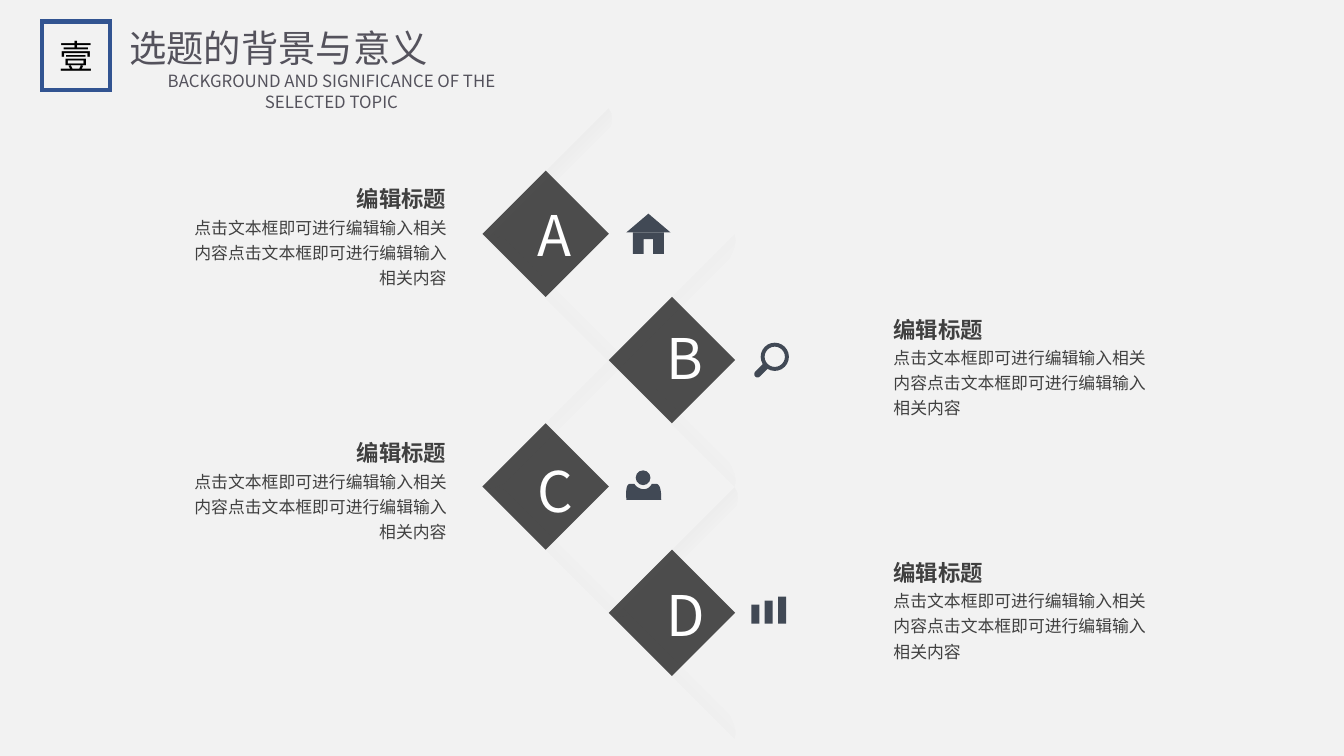
"""Build a topic background slide with four lettered diamonds in a zigzag."""
from lxml import etree
from pptx import Presentation
from pptx.dml.color import RGBColor
from pptx.enum.shapes import MSO_SHAPE
from pptx.enum.text import MSO_ANCHOR, MSO_AUTO_SIZE, PP_ALIGN
from pptx.oxml import parse_xml
from pptx.oxml.ns import nsdecls, qn
from pptx.util import Inches, Pt

PAPER = RGBColor(0xF2, 0xF2, 0xF2)
CHARCOAL = RGBColor(0x4C, 0x4C, 0x4C)
SLATE = RGBColor(0x41, 0x49, 0x55)
BODY = RGBColor(0x40, 0x40, 0x40)
HEADING = RGBColor(0x54, 0x52, 0x5C)
BLUE = RGBColor(0x32, 0x54, 0x91)
WHITE = RGBColor(0xFF, 0xFF, 0xFF)
BLACK = RGBColor(0, 0, 0)
FONT = "Noto Sans CJK SC"
STEP = 0.94

deck = Presentation()
deck.slide_width, deck.slide_height = Inches(10), Inches(10) * 9 // 16
page = deck.slides.add_slide(deck.slide_layouts[5])
page.background.fill.solid()
page.background.fill.fore_color.rgb = PAPER


def write(box, words, size, color, align=PP_ALIGN.LEFT, anchor=MSO_ANCHOR.TOP,
          bold=False, spacing=1.0, fit=MSO_AUTO_SIZE.SHAPE_TO_FIT_TEXT):
    frame = box.text_frame
    for name, value in {"word_wrap": True, "auto_size": fit, "vertical_anchor": anchor}.items():
        setattr(frame, name, value)
    para = frame.paragraphs[0]
    para.alignment, para.line_spacing = align, spacing
    span = para.add_run()
    span.text = words
    for name, value in {"name": FONT, "size": Pt(size), "bold": bold}.items():
        setattr(span.font, name, value)
    span.font.color.rgb = color
    etree.SubElement(span.font._element, qn("a:ea")).set("typeface", FONT)


def outline(start, segments):
    points, pen = [], start
    for segment in segments:
        if len(segment) == 1:
            points.append(segment[0])
        else:
            first, second, end = segment
            for t in [n / 10 for n in range(1, 11)]:
                points.append(tuple(
                    (1 - t) ** 3 * a + 3 * t * (1 - t) ** 2 * b + 3 * t * t * (1 - t) * c + t ** 3 * d
                    for a, b, c, d in zip(pen, first, second, end)))
        pen = points[-1]
    builder = page.shapes.build_freeform(Inches(start[0]), Inches(start[1]))
    builder.add_line_segments([(Inches(x), Inches(y)) for x, y in points], close=True)
    shape = builder.convert_to_shape()
    shape.shadow.inherit = False
    shape.line.fill.background()
    return shape


diamonds = [("A", 4.06, 1.74, 3.9, 1.44), ("B", 5, 2.68, 4.86, 2.36),
            ("C", 4.06, 3.62, 3.9, 3.35), ("D", 5, 4.56, 4.86, 4.27)]
parts = []
for letter, x, y, _, _ in diamonds:
    if letter != "C":
        parts.append((MSO_SHAPE.DIAMOND, x - STEP / 2, y - STEP, 2 * STEP, 2 * STEP, PAPER))
    parts.append((MSO_SHAPE.DIAMOND, x - STEP / 2, y - STEP / 2, STEP, STEP, CHARCOAL))
parts += [(MSO_SHAPE.DONUT, 5.66, 2.55, 0.21, 0.21, SLATE),
          (MSO_SHAPE.ROUNDED_RECTANGLE, 5.6, 2.73, 0.13, 0.05, SLATE),
          (MSO_SHAPE.ISOSCELES_TRIANGLE, 4.66, 1.59, 0.33, 0.14, SLATE),
          (MSO_SHAPE.OVAL, 4.73, 3.5, 0.11, 0.11, SLATE)]
for index, height in enumerate((0.14, 0.17, 0.2)):
    parts.append((MSO_SHAPE.RECTANGLE, 5.59 + 0.1 * index, 4.64 - height, 0.06, height, SLATE))

for kind, left, top, width, height, color in parts:
    shape = page.shapes.add_shape(kind, Inches(left), Inches(top), Inches(width), Inches(height))
    shape.shadow.inherit = False
    shape.fill.solid()
    shape.fill.fore_color.rgb = color
    shape.line.fill.background()
    if kind == MSO_SHAPE.DONUT:
        shape.adjustments[0] = 0.14
    if kind == MSO_SHAPE.ROUNDED_RECTANGLE:
        shape.adjustments[0] = 0.5
        shape.rotation = 315

walls = outline((4.71, 1.73), [[(4.71, 1.89)], [(4.79, 1.89)], [(4.79, 1.78)], [(4.86, 1.78)],
                               [(4.86, 1.89)], [(4.94, 1.89)], [(4.94, 1.73)]])
shoulders = outline((4.88, 3.6), [
    [(4.85, 3.6)], [(4.84, 3.62), (4.82, 3.64), (4.79, 3.64)],
    [(4.76, 3.64), (4.73, 3.62), (4.72, 3.6)], [(4.69, 3.6)],
    [(4.65, 3.6), (4.66, 3.68), (4.66, 3.72)], [(4.92, 3.72)],
    [(4.92, 3.68), (4.92, 3.6), (4.88, 3.6)]])
for shape in (walls, shoulders):
    shape.fill.solid()
    shape.fill.fore_color.rgb = SLATE

stops = "".join(
    f'<a:gs pos="{place}000"><a:srgbClr val="{tone}"><a:alpha val="{alpha}000"/></a:srgbClr></a:gs>'
    for place, tone, alpha in ((0, "808080", 0), (50, "7F7F7F", 0), (100, "808080", 23)))
for left, top, length, turn in [(3.48, 1.24, 1.32, 315), (3.28, 2.65, 2.65, 315),
                                (4.42, 4.06, 1.32, 315), (3.28, 4.36, 2.65, 225),
                                (3.28, 2.49, 2.65, 225)]:
    edge = [(left + length * u, top + 0.23 * v) for u, v in (
        (0, 0), (1, 0), (0.99, 0.18), (0.95, 0.6), (0.75, 1), (0.5, 1),
        (0.25, 1), (0.05, 0.6), (0.01, 0.18))]
    shade = outline(edge[0], [edge[1:2], edge[2:3], edge[3:6], edge[6:9]])
    shade.rotation = turn
    shade.fill.background()
    blank = shade._element.spPr.find(qn("a:noFill"))
    blank.getparent().replace(blank, parse_xml(
        f'<a:gradFill {nsdecls("a")} rotWithShape="1"><a:gsLst>{stops}</a:gsLst>'
        '<a:lin ang="16200000" scaled="0"/></a:gradFill>'))

for letter, _, _, left, top in diamonds:
    box = page.shapes.add_textbox(Inches(left), Inches(top), Inches(0.28), Inches(0.6))
    write(box, letter, 30, WHITE, PP_ALIGN.CENTER)

for body_left, title_left, top, align in [(6.55, 6.55, 2.3, PP_ALIGN.LEFT),
                                          (6.55, 6.55, 4.11, PP_ALIGN.LEFT),
                                          (1.29, 2.32, 1.33, PP_ALIGN.RIGHT),
                                          (1.29, 2.32, 3.22, PP_ALIGN.RIGHT)]:
    box = page.shapes.add_textbox(Inches(body_left), Inches(top + 0.2), Inches(2.13), Inches(0.67))
    write(box, "点击文本框即可进行编辑输入相关内容" * 2, 9, BODY, align, spacing=1.25)
    box = page.shapes.add_textbox(Inches(title_left), Inches(top), Inches(1.1), Inches(0.3))
    write(box, "编辑标题", 12, BODY, align, bold=True)

title = page.shapes.title
for name, value in {"left": 0.86, "top": 0.14, "width": 2.92, "height": 0.44}.items():
    setattr(title, name, Inches(value))
write(title, "选题的背景与意义", 20, HEADING)

subtitle = page.shapes.add_textbox(Inches(0.86), Inches(0.48), Inches(3.21), Inches(0.25))
write(subtitle, "BACKGROUND AND SIGNIFICANCE OF THE SELECTED TOPIC", 9, HEADING, PP_ALIGN.CENTER)

badge = page.shapes.add_shape(MSO_SHAPE.RECTANGLE, Inches(0.31), Inches(0.16), Inches(0.51), Inches(0.51))
badge.shadow.inherit = False
badge.fill.background()
badge.line.color.rgb = BLUE
badge.line.width = Pt(2.25)
etree.SubElement(badge.line._ln, qn("a:miter")).set("lim", "800000")
write(badge, "壹", 18, BLACK, PP_ALIGN.CENTER, MSO_ANCHOR.MIDDLE, fit=MSO_AUTO_SIZE.NONE)

deck.save("out.pptx")
